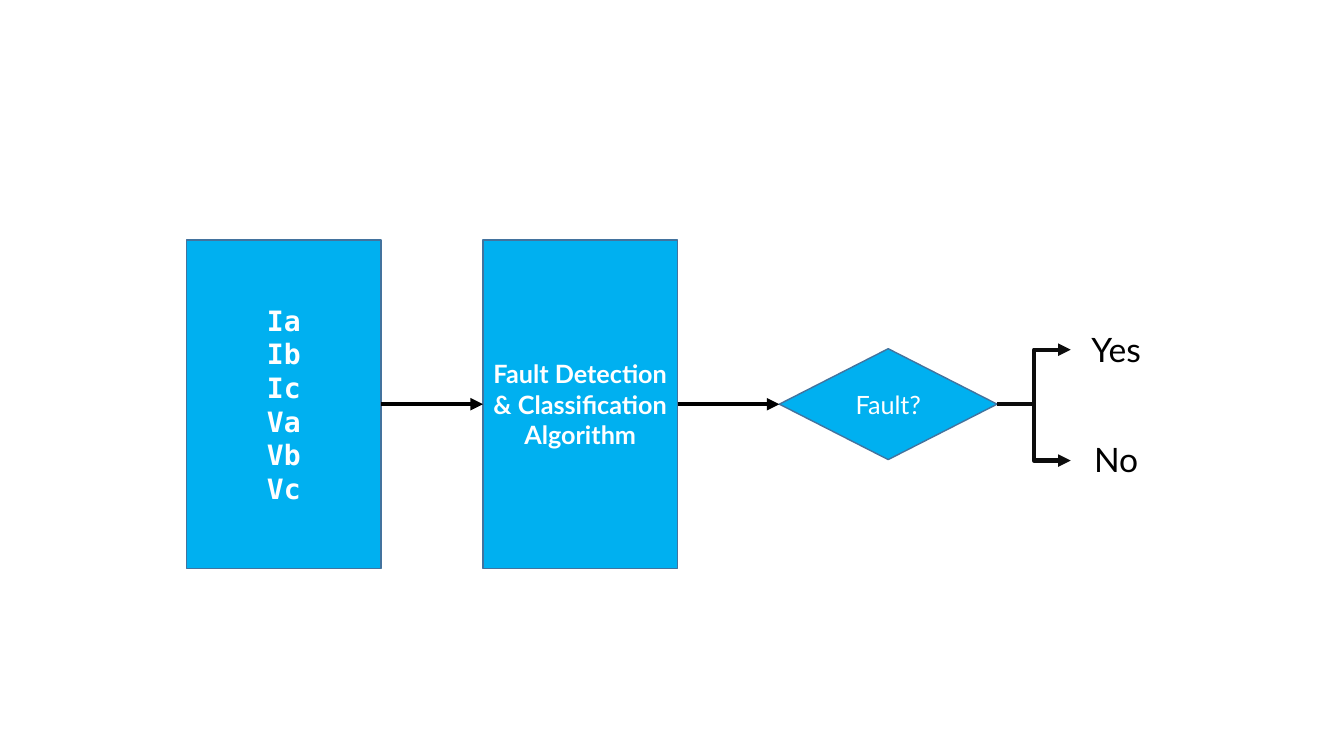
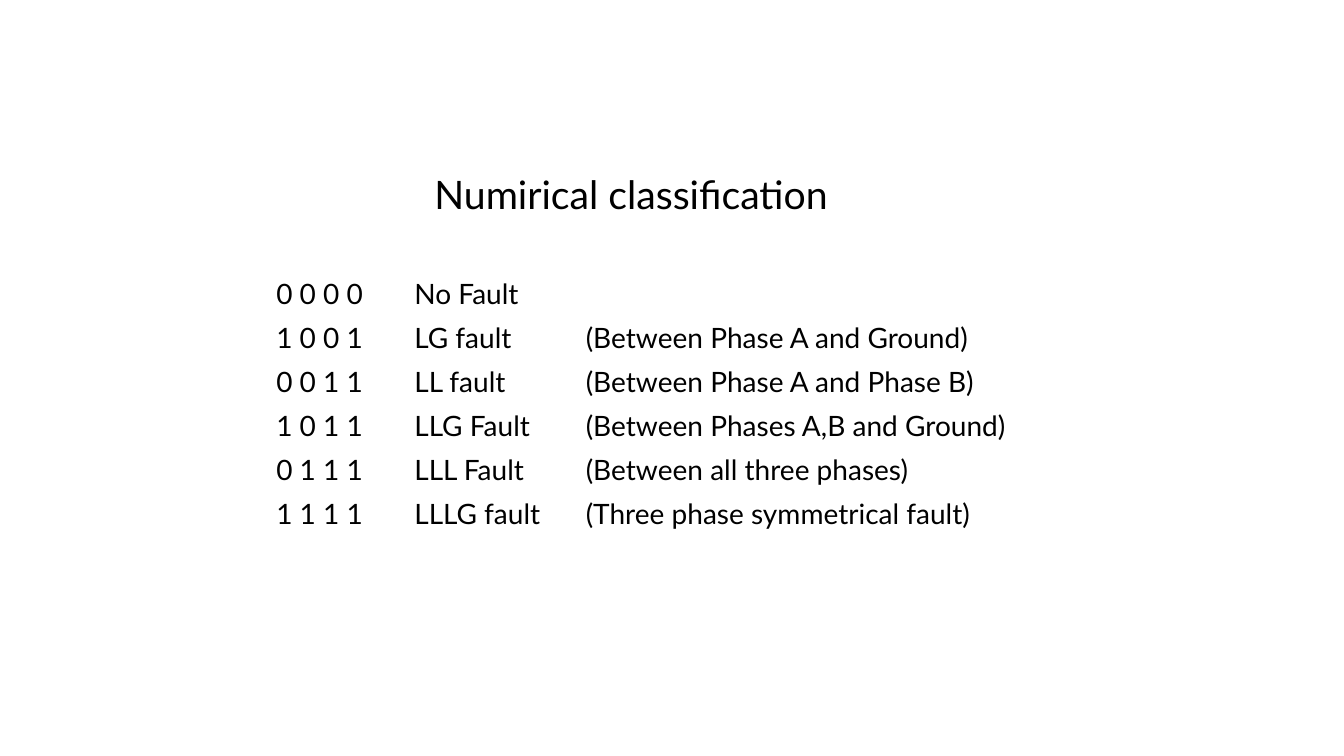
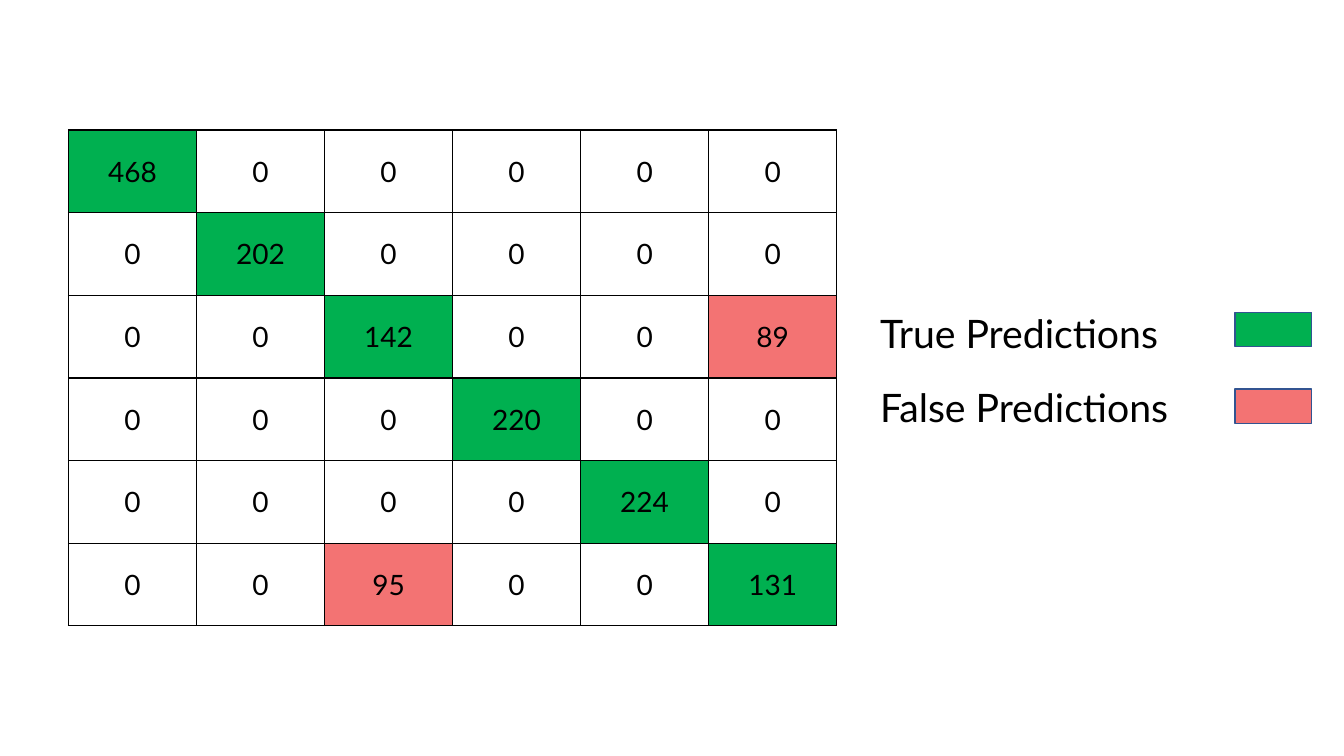
"""Builds three slides on power fault detection: flow, class codes and confusion matrix."""
from lxml.etree import SubElement
from pptx import Presentation
from pptx.dml.color import RGBColor
from pptx.enum.shapes import MSO_CONNECTOR, MSO_SHAPE
from pptx.enum.text import MSO_ANCHOR, MSO_AUTO_SIZE, PP_ALIGN
from pptx.oxml import parse_xml
from pptx.oxml.ns import nsdecls, qn
from pptx.util import Pt

PX = 9144
FONT, MONO = "Lato", "DejaVu Sans Mono"
BLACK = RGBColor(0x00, 0x00, 0x00)
WHITE = RGBColor(0xFF, 0xFF, 0xFF)
BLUE = RGBColor(0x00, 0xB0, 0xF0)
BLUE_EDGE = RGBColor(0x43, 0x73, 0x9E)
KEY_EDGE = RGBColor(0x32, 0x54, 0x91)
BRANCH = RGBColor(0x0D, 0x0D, 0x0D)
GREEN = RGBColor(0x00, 0xB0, 0x50)
RED = RGBColor(0xF3, 0x73, 0x73)

FLOW_Y = 401
STEPS = [
    (MSO_SHAPE.RECTANGLE, 185, 193, 326, ["Ia", "Ib", "Ic", "Va", "Vb", "Vc"], 20, MONO, True),
    (MSO_SHAPE.RECTANGLE, 479, 193, 326,
     ["Fault Detection", "& Classification", "Algorithm"], 18, FONT, True),
    (MSO_SHAPE.DIAMOND, 773, 216, 110, ["Fault?"], 18, FONT, False),
]
OUTCOMES = [("Yes", 347), ("No", 457)]

TITLE = "Numirical classification"
CODE_COLS = [137, 170, 631]
CODES = [
    ("0 0 0 0", "No Fault", ""),
    ("1 0 0 1", "LG fault", "(Between Phase A and Ground)"),
    ("0 0 1 1", "LL fault", "(Between Phase A and Phase B)"),
    ("1 0 1 1", "LLG Fault", "(Between Phases A,B and Ground)"),
    ("0 1 1 1", "LLL Fault", "(Between all three phases)"),
    ("1 1 1 1", "LLLG fault", "(Three phase symmetrical fault)"),
]

MATRIX = [
    (468, 0, 0, 0, 0, 0),
    (0, 202, 0, 0, 0, 0),
    (0, 0, 142, 0, 0, 89),
    (0, 0, 0, 220, 0, 0),
    (0, 0, 0, 0, 224, 0),
    (0, 0, 95, 0, 0, 131),
]
KEYS = [
    ("True Predictions", GREEN, 302, 344, 310),
    ("False Predictions", RED, 375, 376, 386),
]


def emu(*lengths):
    return [n * PX for n in lengths]


def write(tf, lines, size, color=BLACK, font=FONT, bold=False, align=PP_ALIGN.LEFT):
    for i, line in enumerate(lines):
        p = tf.add_paragraph() if i else tf.paragraphs[0]
        p.text = line
        p.alignment = align
        p.font.size, p.font.name, p.font.bold = Pt(size), font, bold
        p.font.color.rgb = color
        if font == MONO:
            p.line_spacing = Pt(size * 1.2)


def add_text(s, box, text, size, align=PP_ALIGN.LEFT):
    tf = s.shapes.add_textbox(*emu(*box)).text_frame
    tf.word_wrap = True
    tf.auto_size = MSO_AUTO_SIZE.SHAPE_TO_FIT_TEXT
    write(tf, [text], size, align=align)


def add_box(s, kind, box, fill, edge):
    sp = s.shapes.add_shape(kind, *emu(*box))
    sp.shadow.inherit = False
    sp.fill.solid()
    sp.fill.fore_color.rgb = fill
    sp.line.color.rgb = edge
    sp.line.width = Pt(1)
    return sp


def add_arrow(s, kind, ends, color):
    cx = s.shapes.add_connector(kind, *emu(*ends))
    cx.line.color.rgb = color
    cx.line.width = Pt(3)
    SubElement(cx.line._get_or_add_ln(), qn("a:tailEnd"), type="triangle")
    SubElement(cx._element.spPr, qn("a:effectLst"))
    return cx


def add_borders(cell):
    tcPr = cell._tc.get_or_add_tcPr()
    for i, side in enumerate("LRTB"):
        tcPr.insert(i, parse_xml(
            f'<a:ln{side} {nsdecls("a")} w="12700"><a:solidFill>'
            f'<a:srgbClr val="{BLACK}"/></a:solidFill></a:ln{side}>'))


def add_grid(s, x, y, cols, row_h, rows, align=PP_ALIGN.LEFT):
    size = emu(x, y, sum(cols), row_h * len(rows))
    table = s.shapes.add_table(len(rows), len(cols), *size).table
    table.first_row = table.horz_banding = False
    for col, w in zip(table.columns, cols):
        col.width = w * PX
    for r, values in enumerate(rows):
        table.rows[r].height = row_h * PX
        for c, value in enumerate(values):
            cell = table.cell(r, c)
            cell.fill.background()
            write(cell.text_frame, [str(value)], 20, align=align)
    return table


def flow_slide(s):
    boxes = []
    for kind, x, w, h, lines, size, font, bold in STEPS:
        sp = add_box(s, kind, (x, FLOW_Y - h // 2, w, h), BLUE, BLUE_EDGE)
        tf = sp.text_frame
        tf.word_wrap = False
        tf.vertical_anchor = MSO_ANCHOR.MIDDLE
        write(tf, lines, size, WHITE, font, bold, PP_ALIGN.CENTER)
        boxes.append(sp)
    for left, right in zip(boxes, boxes[1:]):
        cx = add_arrow(s, MSO_CONNECTOR.STRAIGHT, (0, 0, 0, 0), BLACK)
        cx.begin_connect(left, 3)
        cx.end_connect(right, 1)
    for text, y in OUTCOMES:
        add_text(s, (1065, y - 26, 84, 50), text, 24, PP_ALIGN.CENTER)
        add_arrow(s, MSO_CONNECTOR.ELBOW, (989, FLOW_Y, 1062, y), BRANCH)


def codes_slide(s):
    add_grid(s, 264, 270, CODE_COLS, 43, CODES)
    add_text(s, (421, 164, 498, 57), TITLE, 28)


def matrix_slide(s):
    table = add_grid(s, 68, 129, [127] * 6, 82, MATRIX, PP_ALIGN.CENTER)
    for r, values in enumerate(MATRIX):
        for c, value in enumerate(values):
            cell = table.cell(r, c)
            cell.vertical_anchor = MSO_ANCHOR.MIDDLE
            if value:
                cell.fill.solid()
                cell.fill.fore_color.rgb = GREEN if r == c else RED
            add_borders(cell)
    for text, color, y, w, swatch_y in KEYS:
        add_text(s, (863, y, w, 57), text, 28)
        add_box(s, MSO_SHAPE.RECTANGLE, (1225, swatch_y, 76, 34), color, KEY_EDGE)


def main():
    prs = Presentation()
    prs.slide_width, prs.slide_height = emu(1333, 750)
    for build in (flow_slide, codes_slide, matrix_slide):
        build(prs.slides.add_slide(prs.slide_layouts[6]))
    prs.save("out.pptx")


if __name__ == "__main__":
    main()
